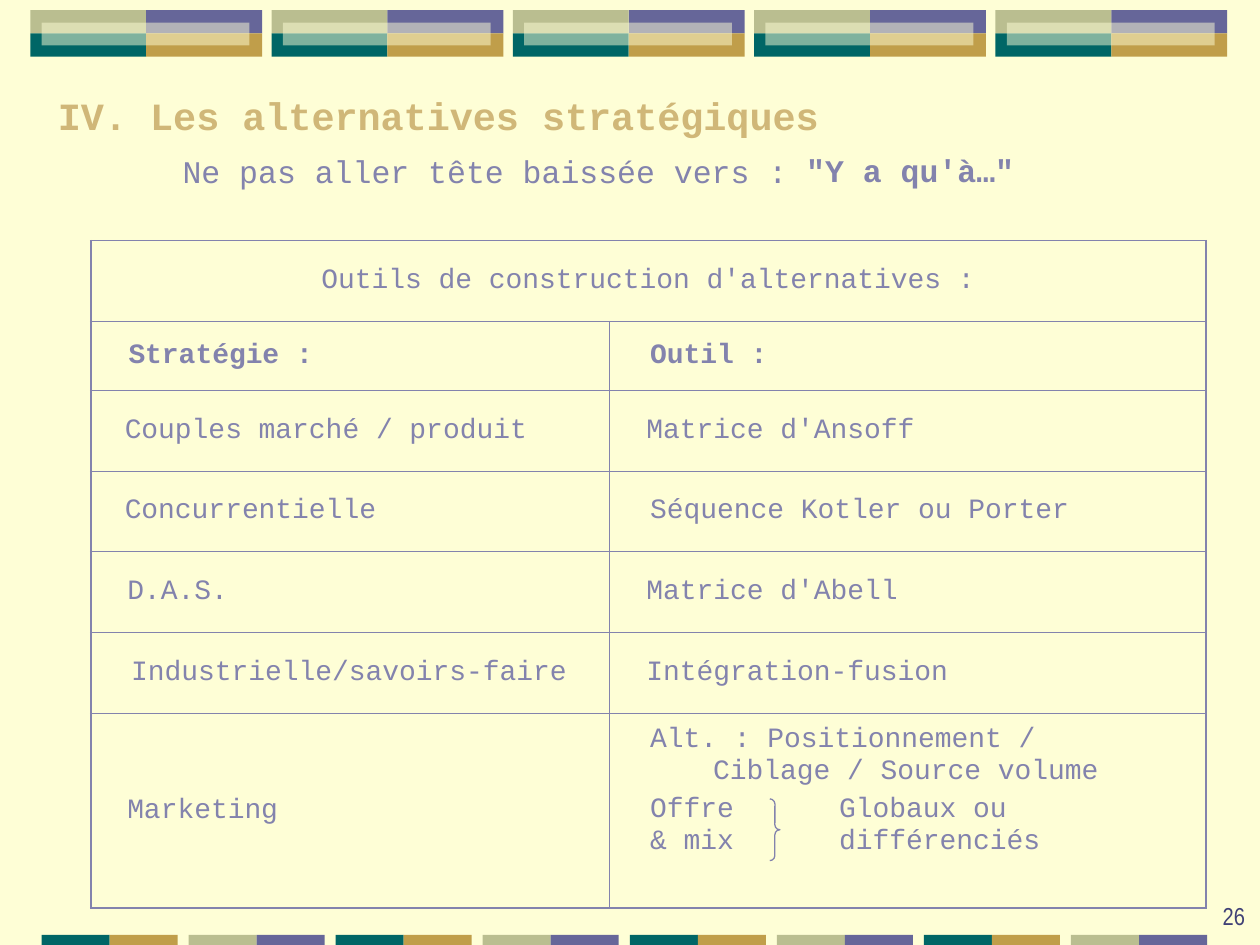
from dataclasses import dataclass

from lxml import etree
from pptx import Presentation
from pptx import util as u
from pptx.dml.color import RGBColor
from pptx.enum import shapes, text
from pptx.oxml import ns


@dataclass(frozen=True)
class Theme:
    cream: str = "FEFED6"
    violet: str = "666699"
    gold: str = "C09E4A"
    teal: str = "006666"
    sage: str = "BABE90"
    heading: str = "D0B778"
    body: str = "8383AD"
    number: str = "404176"
    mono: str = "Courier New"
    narrow: str = "Arial Narrow"
    title_size: float = 22
    lead_size: float = 18
    table_size: float = 16
    number_size: float = 14
    outer_line: float = 1.08
    inner_line: float = 0.45
    brace_line: float = 0.75


THEME = Theme()

# Each cell: paragraphs (newline = line break) and left indent
ROWS = [
    (("Stratégie :", 0.2), ("Outil :", 0.22)),
    (("Couples marché / produit", 0.17), ("Matrice d'Ansoff", 0.19)),
    (("Concurrentielle", 0.17), ("Séquence Kotler ou Porter", 0.22)),
    (("D.A.S.", 0.19), ("Matrice d'Abell", 0.19)),
    (("Industrielle/savoirs-faire", 0.22), ("Intégration-fusion", 0.19)),
    (("Marketing", 0.19), ("Alt. : Positionnement /\n\tCiblage / Source volume", 0.22)),
]
OFFER_TEXT = "Offre\t\tGlobaux ou\n& mix\t\tdifférenciés"


def color(value):
    return RGBColor.from_string(value)


def write(para, words, size, ink=THEME.body, font=THEME.mono, bold=False,
          align=text.PP_ALIGN.LEFT, before=0, indent=0, tabs=()):
    """Fill a paragraph with text in one format."""
    para.alignment = align
    para.space_before = u.Pt(before)
    props = para._p.get_or_add_pPr()
    props.set("marL", str(u.Inches(indent)))
    props.set("indent", "0")
    if tabs:
        tab_list = etree.SubElement(props, ns.qn("a:tabLst"))
        for stop in tabs:
            etree.SubElement(tab_list, ns.qn("a:tab"), pos=str(u.Inches(stop)), algn="l")
    for index, line in enumerate(words.split("\n")):
        if index:
            para.add_line_break()
        span = para.add_run()
        span.text = line
        span.font.name = font
        span.font.size = u.Pt(size)
        span.font.bold = bold
        span.font.color.rgb = color(ink)


def place(shape, left, top, width, height):
    shape.left, shape.top = u.Inches(left), u.Inches(top)
    shape.width, shape.height = u.Inches(width), u.Inches(height)


def add_tile(page, left, top, width, height, fill, alpha=None):
    tile = page.shapes.add_shape(shapes.MSO_SHAPE.RECTANGLE, u.Inches(left),
                                 u.Inches(top), u.Inches(width), u.Inches(height))
    tile.shadow.inherit = False
    tile.line.fill.background()
    tile.fill.solid()
    tile.fill.fore_color.rgb = color(fill)
    if alpha is not None:
        rgb = tile._element.spPr.find(".//" + ns.qn("a:srgbClr"))
        etree.SubElement(rgb, ns.qn("a:alpha"), val=str(alpha * 1000))


def add_top_band(page, left, top, last_left, count=5):
    """Blocks of four tiles, each with a half-clear bar in the middle."""
    width, height = 0.92, 0.18
    step = (last_left - left) / (count - 1)
    grid = ((THEME.sage, THEME.violet), (THEME.teal, THEME.gold))
    for block in range(count):
        start = left + block * step
        for row, fills in enumerate(grid):
            for column, fill in enumerate(fills):
                add_tile(page, start + column * width, top + row * (height + 0.005),
                         width, height + 0.005, fill)
        add_tile(page, start + 0.09, top + 0.1, 1.65, height, THEME.cream, alpha=50)


def add_bottom_band(page, left, top, last_left, count=8):
    """Pairs of tiles in alternating colours."""
    width = 0.54
    step = (last_left - left) / (count - 1)
    pairs = ((THEME.teal, THEME.gold), (THEME.sage, THEME.violet))
    for block in range(count):
        for column, fill in enumerate(pairs[block % 2]):
            add_tile(page, left + block * step + column * width, top, width, 0.08, fill)


def add_title(page, left, top, width, height):
    title = page.shapes.title
    place(title, left, top, width, height)
    frame = title.text_frame
    frame.auto_size = text.MSO_AUTO_SIZE.NONE
    frame.word_wrap = False
    frame.vertical_anchor = text.MSO_ANCHOR.TOP
    write(frame.paragraphs[0], "IV. Les alternatives stratégiques", THEME.title_size,
          ink=THEME.heading, bold=True)


def add_text(page, left, top, width, height, words, size,
             anchor=text.MSO_ANCHOR.TOP, wrap=False, **style):
    box = page.shapes.add_textbox(0, 0, 0, 0)
    place(box, left, top, width, height)
    frame = box.text_frame
    frame.word_wrap = wrap
    frame.vertical_anchor = anchor
    write(frame.paragraphs[0], words, size, **style)


def draw_borders(cell, outer_sides):
    """Heavier line on the table's edge, thin line inside; no fill."""
    props = cell._tc.get_or_add_tcPr()
    for side in "LRTB":
        weight = THEME.outer_line if side in outer_sides else THEME.inner_line
        line = etree.SubElement(props, ns.qn("a:ln" + side), w=str(u.Pt(weight)))
        fill = etree.SubElement(line, ns.qn("a:solidFill"))
        etree.SubElement(fill, ns.qn("a:srgbClr"), val=THEME.body)
    cell.fill.background()


def add_tools_table(page, left, top, width, height):
    row_heights = [0.64, 0.55, 0.64, 0.64, 0.64, 0.64, 1.55]
    table = page.shapes.add_table(len(row_heights), 2, u.Inches(left), u.Inches(top),
                                  u.Inches(width), u.Inches(height)).table
    table.first_row = table.horz_banding = False
    for column, size in zip(table.columns, (4.12, width - 4.12)):
        column.width = u.Inches(size)
    for row, size in zip(table.rows, row_heights):
        row.height = u.Inches(size)

    last = len(row_heights) - 1
    for row in range(len(row_heights)):
        for column in range(2):
            cell = table.cell(row, column)
            cell.vertical_anchor = text.MSO_ANCHOR.MIDDLE
            edges = "LR" if row == 0 else "LR"[column]
            edges += "T" if row == 0 else "B" if row == last else ""
            draw_borders(cell, edges)

    # Heading across both columns
    heading = table.cell(0, 0)
    heading.merge(table.cell(0, 1))
    write(heading.text_frame.paragraphs[0], "Outils de construction d'alternatives :",
          THEME.table_size, align=text.PP_ALIGN.CENTER, before=4)

    # Strategy and tool pairs
    stops = (1.07, 1.46)
    for row, pair in enumerate(ROWS, start=1):
        for column, (words, indent) in enumerate(pair):
            write(table.cell(row, column).text_frame.paragraphs[0], words,
                  THEME.table_size, bold=row == 1, before=4, indent=indent,
                  tabs=stops if "\t" in words else ())
    marketing = table.cell(last, 1)
    marketing.margin_bottom = u.Inches(0.36)
    write(marketing.text_frame.add_paragraph(), OFFER_TEXT, THEME.table_size,
          before=4, indent=0.22, tabs=stops)


def add_brace(page, left, top, width, height):
    brace = page.shapes.add_shape(shapes.MSO_SHAPE.RIGHT_BRACE, u.Inches(left),
                                  u.Inches(top), u.Inches(width), u.Inches(height))
    brace.shadow.inherit = False
    brace.adjustments[0] = 0.5
    brace.fill.background()
    brace.line.color.rgb = color(THEME.body)
    brace.line.width = u.Pt(THEME.brace_line)


def main():
    deck = Presentation()
    deck.slide_width, deck.slide_height = u.Inches(10), u.Inches(7.5)
    page = deck.slides.add_slide(deck.slide_layouts[5])
    page.background.fill.solid()
    page.background.fill.fore_color.rgb = color(THEME.cream)

    add_top_band(page, 0.24, 0.08, 7.9)
    add_bottom_band(page, 0.33, 7.42, 8.5)
    add_title(page, 0.36, 0.68, 6.26, 0.47)
    add_text(page, 1.35, 1.16, 5.01, 0.4, "Ne pas aller tête baissée vers :", THEME.lead_size)
    add_text(page, 6.3, 1.15, 2, 0.4, '"Y a qu\'à…"', THEME.lead_size, bold=True)
    add_tools_table(page, 0.72, 1.91, 8.85, 5.3)
    add_brace(page, 6.11, 6.34, 0.08, 0.49)
    add_text(page, 7.9, 6.93, 2.08, 0.5, "26", THEME.number_size, wrap=True,
             anchor=text.MSO_ANCHOR.BOTTOM, ink=THEME.number, font=THEME.narrow,
             align=text.PP_ALIGN.RIGHT)
    deck.save("out.pptx")


if __name__ == "__main__":
    main()
